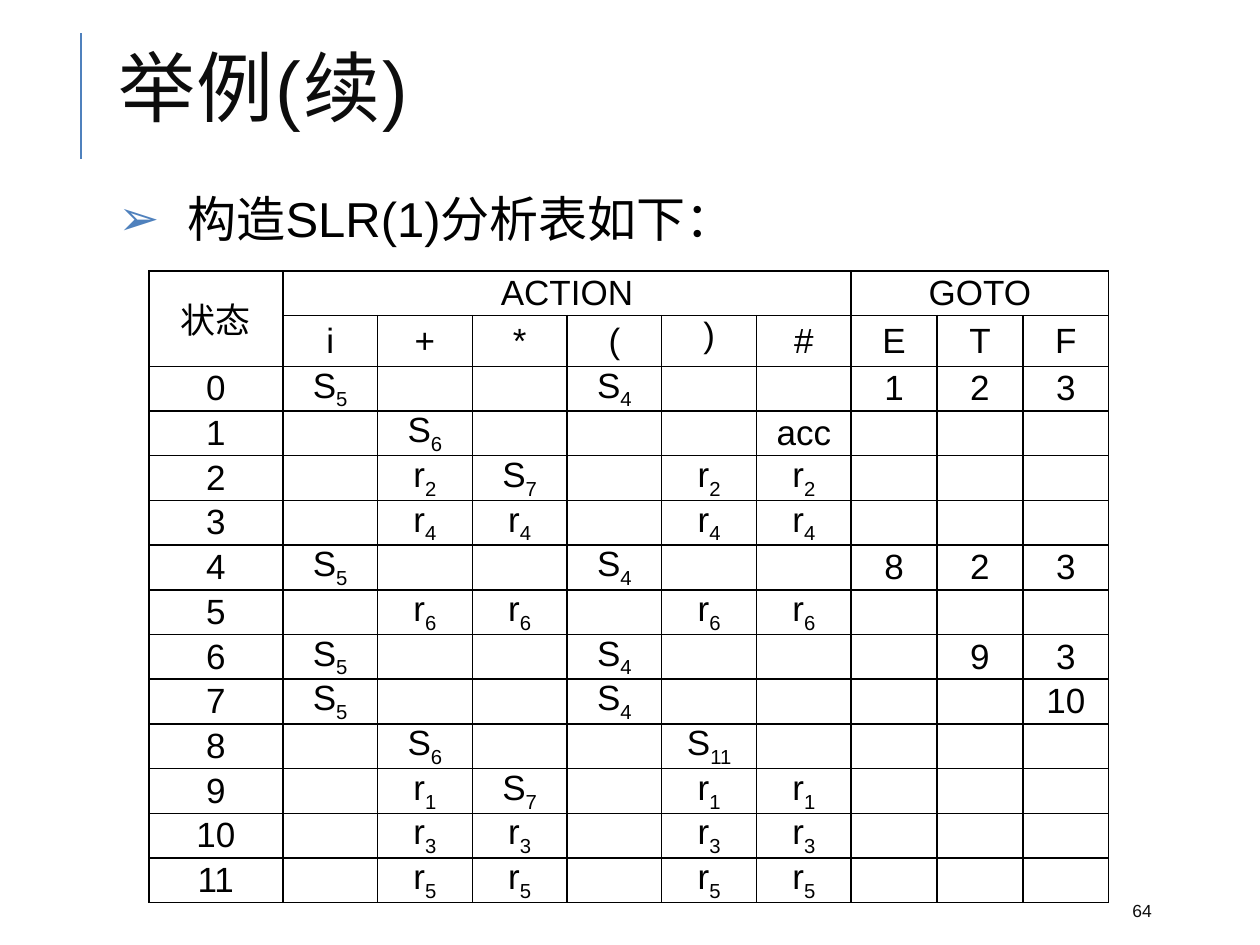
from lxml.etree import SubElement
from pptx import Presentation
from pptx.dml.color import RGBColor
from pptx.enum.shapes import MSO_CONNECTOR as Connector
from pptx.enum.text import MSO_ANCHOR as Anchor, MSO_AUTO_SIZE as AutoSize, PP_ALIGN as Align
from pptx.oxml import parse_xml
from pptx.oxml.ns import nsdecls, qn
from pptx.util import Cm, Pt

TITLE = "举例(续)"
LEAD = "构造SLR(1)分析表如下："
PAGE = "64"
GROUPS = [("状态", 0, 1, 2), ("ACTION", 1, 6, 1), ("GOTO", 7, 3, 1)]
SYMBOLS = "i + * ( ) # E T F".split()
STATES = [
    "S5 . . S4 . . 1 2 3",
    ". S6 . . . acc . . .",
    ". r2 S7 . r2 r2 . . .",
    ". r4 r4 . r4 r4 . . .",
    "S5 . . S4 . . 8 2 3",
    ". r6 r6 . r6 r6 . . .",
    "S5 . . S4 . . . 9 3",
    "S5 . . S4 . . . . 10",
    ". S6 . . S11 . . . .",
    ". r1 S7 . r1 r1 . . .",
    ". r3 r3 . r3 r3 . . .",
    ". r5 r5 . r5 r5 . . .",
]
COLUMN_WIDTHS = [2.7] + [1.91] * 6 + [1.73] * 3
ROW_HEIGHTS = [0.9, 1.02] + [0.9] * len(STATES)
BLUE, INK, BLACK = "4F81BD", "0D0D0D", "000000"


def color(hex_value):
    return RGBColor.from_string(hex_value)


def style(run, size, hex_value):
    run.font.name = "Arial"
    run.font.size = Pt(size)
    run.font.color.rgb = color(hex_value)


def place(shape, left, top, width, height):
    shape.left, shape.top, shape.width, shape.height = map(Cm, (left, top, width, height))


def fill_text(shape, text, size, hex_value, anchor):
    frame = shape.text_frame
    frame.word_wrap = True
    frame.auto_size = AutoSize.NONE
    frame.vertical_anchor = anchor
    frame.text = text
    paragraph = frame.paragraphs[0]
    paragraph.alignment = Align.LEFT
    style(paragraph.runs[0], size, hex_value)
    return paragraph


def add_bullet(paragraph, char, hex_value, indent):
    props = paragraph._p.get_or_add_pPr()
    props.set("marL", str(Cm(indent)))
    props.set("indent", str(-Cm(indent)))
    SubElement(SubElement(props, qn("a:buClr")), qn("a:srgbClr"), val=hex_value)
    SubElement(props, qn("a:buChar"), char=char)


def format_cell(cell):
    cell.margin_left = cell.margin_right = Cm(0.18)
    cell.margin_top = cell.margin_bottom = 0
    cell.vertical_anchor = Anchor.MIDDLE
    cell.fill.background()
    props = cell._tc.get_or_add_tcPr()
    for position, side in enumerate("LRTB"):
        props.insert(position, parse_xml(
            f'<a:ln{side} {nsdecls("a")} w="{Pt(1)}"><a:solidFill>'
            f'<a:srgbClr val="{BLACK}"/></a:solidFill></a:ln{side}>'))


def write_cell(cell, text):
    paragraph = cell.text_frame.paragraphs[0]
    paragraph.alignment = Align.CENTER
    indexed = text[0] in "Sr" and text[1:].isdigit()
    for part in (text[0], text[1:]) if indexed else (text,):
        run = paragraph.add_run()
        run.text = part
        style(run, 20, BLACK)
    if indexed:
        run.font._element.set("baseline", "-25000")
    if indexed or text == ")":
        cell.vertical_anchor = Anchor.TOP


def add_parsing_table(slide):
    frame = slide.shapes.add_table(len(ROW_HEIGHTS), len(COLUMN_WIDTHS), Cm(3), Cm(5.46),
                                   Cm(sum(COLUMN_WIDTHS)), Cm(sum(ROW_HEIGHTS)))
    table = frame.table
    table.first_row = table.horz_banding = False
    for column, width in zip(table.columns, COLUMN_WIDTHS):
        column.width = Cm(width)
    for row, height in zip(table.rows, ROW_HEIGHTS):
        row.height = Cm(height)
    for cell in table.iter_cells():
        format_cell(cell)
    for label, column, across, down in GROUPS:
        cell = table.cell(0, column)
        cell.merge(table.cell(down - 1, column + across - 1))
        write_cell(cell, label)
    for column, symbol in enumerate(SYMBOLS, 1):
        write_cell(table.cell(1, column), symbol)
    for state, entries in enumerate(STATES):
        for column, entry in enumerate([str(state)] + entries.split()):
            if entry != ".":
                write_cell(table.cell(state + 2, column), entry)


def main():
    deck = Presentation()
    deck.slide_width, deck.slide_height = Cm(25.4), Cm(19.05)
    slide = deck.slides.add_slide(deck.slide_layouts[1])

    accent = slide.shapes.add_connector(Connector.STRAIGHT, Cm(1.63), Cm(3.2), Cm(1.63), Cm(0.66))
    accent.line.color.rgb = color(BLUE)
    accent.line.width = Pt(1.5)
    SubElement(accent._element.spPr, qn("a:effectLst"))

    page = slide.shapes.add_textbox(Cm(22.58), Cm(17.98), Cm(2.03), Cm(0.76))
    fill_text(page, PAGE, 10, INK, Anchor.MIDDLE)

    title = slide.shapes.title
    place(title, 2.13, 0.66, 21.6, 2.5)
    heading = fill_text(title, TITLE, 44, INK, Anchor.MIDDLE)
    heading.line_spacing = 0.8
    heading.runs[0].font._element.set("spc", "100")

    body = slide.placeholders[1]
    place(body, 2.13, 3.68, 21.6, 1.8)
    lead = fill_text(body, LEAD, 28, BLACK, Anchor.TOP)
    add_bullet(lead, "➢", BLUE, 1.4)
    lead.space_after = Pt(6)

    add_parsing_table(slide)
    deck.save("out.pptx")


if __name__ == "__main__":
    main()
